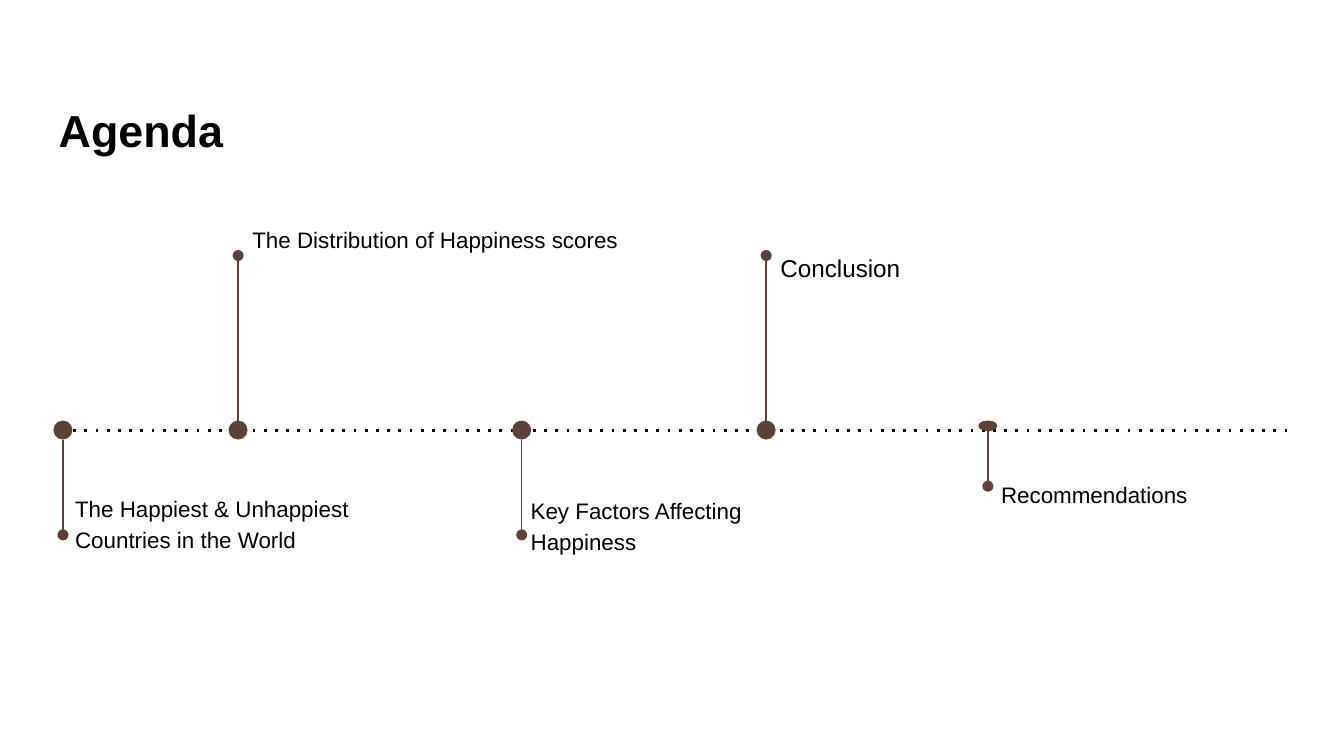
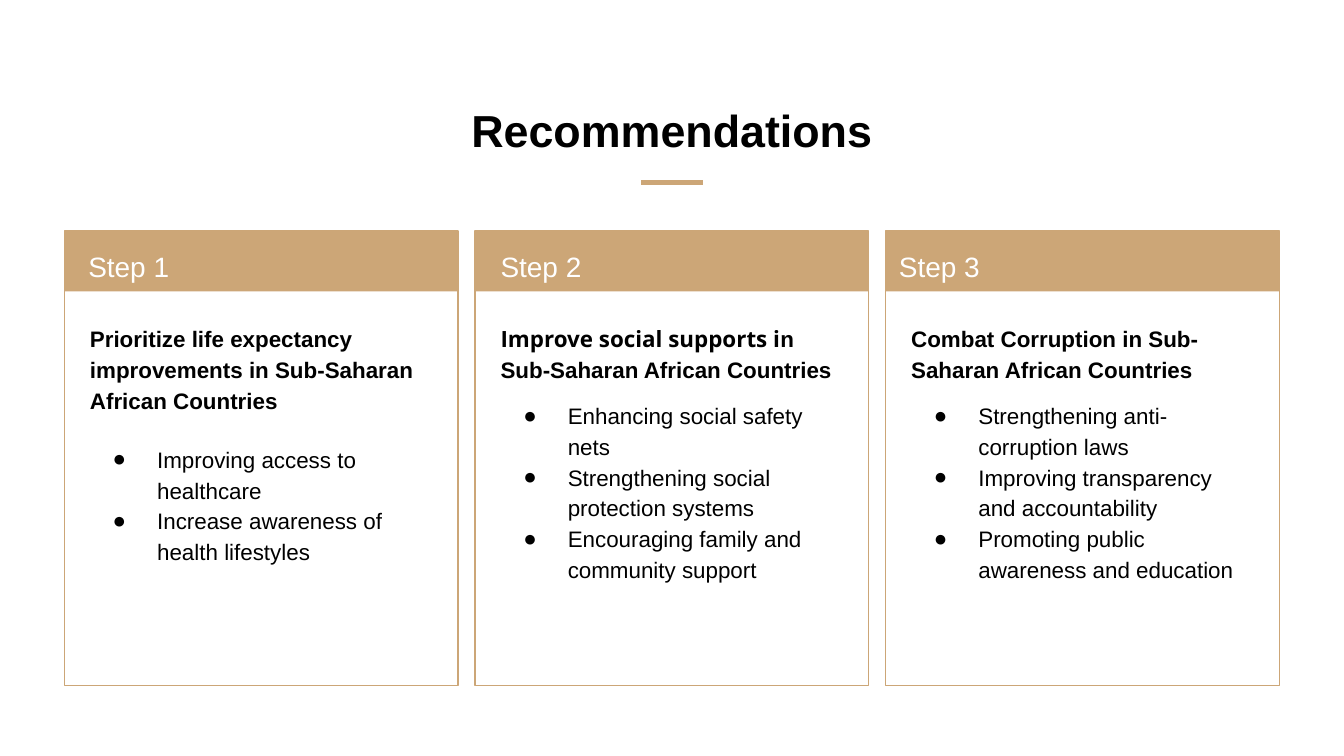
from lxml import etree
from pptx import Presentation
from pptx import util as u
from pptx.dml.color import RGBColor
from pptx.enum import shapes, text
from pptx.oxml import ns

AGENDA = "Agenda"
MILESTONES = [
    dict(label="The Happiest & Unhappiest Countries in the World",
         x=1.19, end=10.11, box=(1.17, 9.04, 6.32, 3.7)),
    dict(label="The Distribution of Happiness scores",
         x=4.5, end=4.83, box=(4.52, 3.94, 8.61, 3.25)),
    dict(label="Key Factors Affecting Happiness",
         x=9.86, end=10.11, box=(9.78, 9.07, 5.92, 4.14)),
    dict(label="Conclusion", x=14.48, end=4.83, box=(14.5, 4.45, 8.61, 2.74), size="large_label"),
    dict(label="Recommendations", x=18.67, end=9.19, box=(18.67, 8.76, 5.64, 2.74), dot_height=0.2),
]
RECOMMENDATIONS = "Recommendations"
STEPS = [
    dict(step="Step 1", step_inset=0.2, gap=15,
         goal=[("Prioritize life expectancy improvements in Sub-Saharan African Countries", "font")],
         actions=["Improving access to healthcare",
                  "Increase awareness of health lifestyles"]),
    dict(step="Step 2", step_inset=0.23, gap=8,
         goal=[("Improve social supports i", "accent_font"),
               ("n Sub-Saharan African Countries", "font")],
         actions=["Enhancing social safety nets",
                  "Strengthening social protection systems",
                  "Encouraging family and community support"]),
    dict(step="Step 3", step_inset=0, gap=8,
         goal=[("Combat Corruption in Sub-Saharan African Countries", "font")],
         actions=["Strengthening anti-corruption laws",
                  "Improving transparency and accountability",
                  "Promoting public awareness and education"]),
]

THEME = dict(font="Arial", accent_font="Open Sans",
             ink="000000", paper="FFFFFF", brown="5D4037", tan="CCA677",
             title=24, step=15, large_label=13, body=12)
TITLE_BOX = (0.86, 0.89, 23.67, 2.31)
AXIS = dict(y=8.13, left=1.17, right=24.33)
DOT = 0.36
CARD = dict(left=1.22, top=4.37, width=7.44, height=8.59, pitch=7.76, band=1.14)
GOAL = dict(inset=0.23, top=5.82, width=6.92, height=7.11)
PADDING = 0.25
SPACING = 1.15


def colour(name):
    return RGBColor.from_string(THEME[name])


def apply(target, formats):
    for key, value in formats.items():
        setattr(target, key, value)


def place(part, box):
    apply(part, dict(zip(("left", "top", "width", "height"), map(u.Cm, box))))


def prepare(frame, anchor=text.MSO_ANCHOR.TOP):
    sides = ("margin_left", "margin_top", "margin_right", "margin_bottom")
    apply(frame, dict.fromkeys(sides, u.Cm(PADDING)))
    apply(frame, dict(word_wrap=True, auto_size=text.MSO_AUTO_SIZE.NONE, vertical_anchor=anchor))


def write(paragraph, pieces, size="body", ink="ink", bold=False, before=0,
          align=text.PP_ALIGN.LEFT, spacing=SPACING):
    apply(paragraph, dict(alignment=align, line_spacing=spacing,
                          space_before=u.Pt(before), space_after=u.Pt(0)))
    for words, font in pieces:
        run = paragraph.add_run()
        run.text = words
        apply(run.font, dict(name=THEME[font], size=u.Pt(THEME[size]), bold=bold))
        run.font.color.rgb = colour(ink)


def set_bullet(paragraph, bullet=None):
    props = paragraph._p.get_or_add_pPr()
    props.set("marL", str(u.Cm(1.27) if bullet else 0))
    props.set("indent", str(u.Cm(-0.84) if bullet else 0))
    if not bullet:
        etree.SubElement(props, ns.qn("a:buNone"))
        return
    tint = etree.SubElement(props, ns.qn("a:buClr"))
    etree.SubElement(tint, ns.qn("a:srgbClr"), val=THEME["ink"])
    etree.SubElement(props, ns.qn("a:buFont"), typeface=THEME["font"])
    etree.SubElement(props, ns.qn("a:buChar"), char=bullet)


def add_title(slide, words, align):
    title = slide.shapes.title
    place(title, TITLE_BOX)
    prepare(title.text_frame, text.MSO_ANCHOR.BOTTOM)
    write(title.text_frame.paragraphs[0], [(words, "font")], "title",
          bold=True, align=align, spacing=1.0)


def add_label(slide, words, box, **formats):
    label = slide.shapes.add_textbox(*map(u.Cm, box))
    prepare(label.text_frame)
    write(label.text_frame.paragraphs[0], [(words, "font")], **formats)


def add_line(slide, start, end, ink, width, **ends):
    line = slide.shapes.add_connector(shapes.MSO_CONNECTOR.STRAIGHT, *map(u.Cm, start + end))
    line.line.color.rgb = colour(ink)
    line.line.width = u.Pt(width)
    for tag, kind in ends.items():
        attribute = "val" if tag == "prstDash" else "type"
        etree.SubElement(line.line._get_or_add_ln(), ns.qn("a:" + tag), {attribute: kind})
    etree.SubElement(line._element.spPr, ns.qn("a:effectLst"))


def add_figure(slide, kind, box, fill=None, outline=None):
    figure = slide.shapes.add_shape(kind, *map(u.Cm, box))
    figure.shadow.inherit = False
    for part, ink in ((figure.fill, fill), (figure.line.fill, outline)):
        if ink:
            part.solid()
            part.fore_color.rgb = colour(ink)
        else:
            part.background()
    if outline:
        figure.line.width = u.Pt(0.75)


def build_agenda(deck):
    slide = deck.slides.add_slide(deck.slide_layouts.get_by_name("Title Only"))
    add_title(slide, AGENDA, text.PP_ALIGN.LEFT)
    axis = AXIS["y"]
    add_line(slide, (AXIS["left"], axis), (AXIS["right"], axis), "ink", 1.5, prstDash="dot")
    for stop in MILESTONES:
        x, end, height = stop["x"], stop["end"], stop.get("dot_height", DOT)
        top = axis - DOT / 2
        add_figure(slide, shapes.MSO_SHAPE.OVAL, (x - DOT / 2, top, DOT, height), fill="brown")
        start = top + height if end > axis else top
        add_line(slide, (x, start), (x, end), "brown", 0.75, tailEnd="oval")
        add_label(slide, stop["label"], stop["box"], size=stop.get("size", "body"))


def build_recommendations(deck):
    slide = deck.slides.add_slide(deck.slide_layouts.get_by_name("Comparison"))
    add_title(slide, RECOMMENDATIONS, text.PP_ALIGN.CENTER)
    add_line(slide, (12.12, 3.45), (13.28, 3.45), "tan", 2.25)
    goals = list(slide.placeholders)[1:]
    for spare in goals[len(STEPS):]:
        spare._element.getparent().remove(spare._element)
    top, width, band = CARD["top"], CARD["width"], CARD["band"]
    for i, (card, goal) in enumerate(zip(STEPS, goals)):
        left = CARD["left"] + i * CARD["pitch"]
        add_figure(slide, shapes.MSO_SHAPE.RECTANGLE, (left, top, width, CARD["height"]), outline="tan")
        add_figure(slide, shapes.MSO_SHAPE.RECTANGLE, (left, top, width, band), fill="tan")
        add_label(slide, card["step"], (left + card["step_inset"], top, GOAL["width"], band),
                  size="step", ink="paper")
        place(goal, (left + GOAL["inset"], GOAL["top"], GOAL["width"], GOAL["height"]))
        frame = goal.text_frame
        prepare(frame)
        write(frame.paragraphs[0], card["goal"], bold=True)
        set_bullet(frame.paragraphs[0])
        for n, action in enumerate(card["actions"]):
            item = frame.add_paragraph()
            write(item, [(action, "font")], before=0 if n else card["gap"])
            set_bullet(item, "●")


def main():
    deck = Presentation()
    apply(deck, dict(slide_width=u.Cm(25.4), slide_height=u.Cm(14.29)))
    build_agenda(deck)
    build_recommendations(deck)
    deck.save("out.pptx")


if __name__ == "__main__":
    main()
